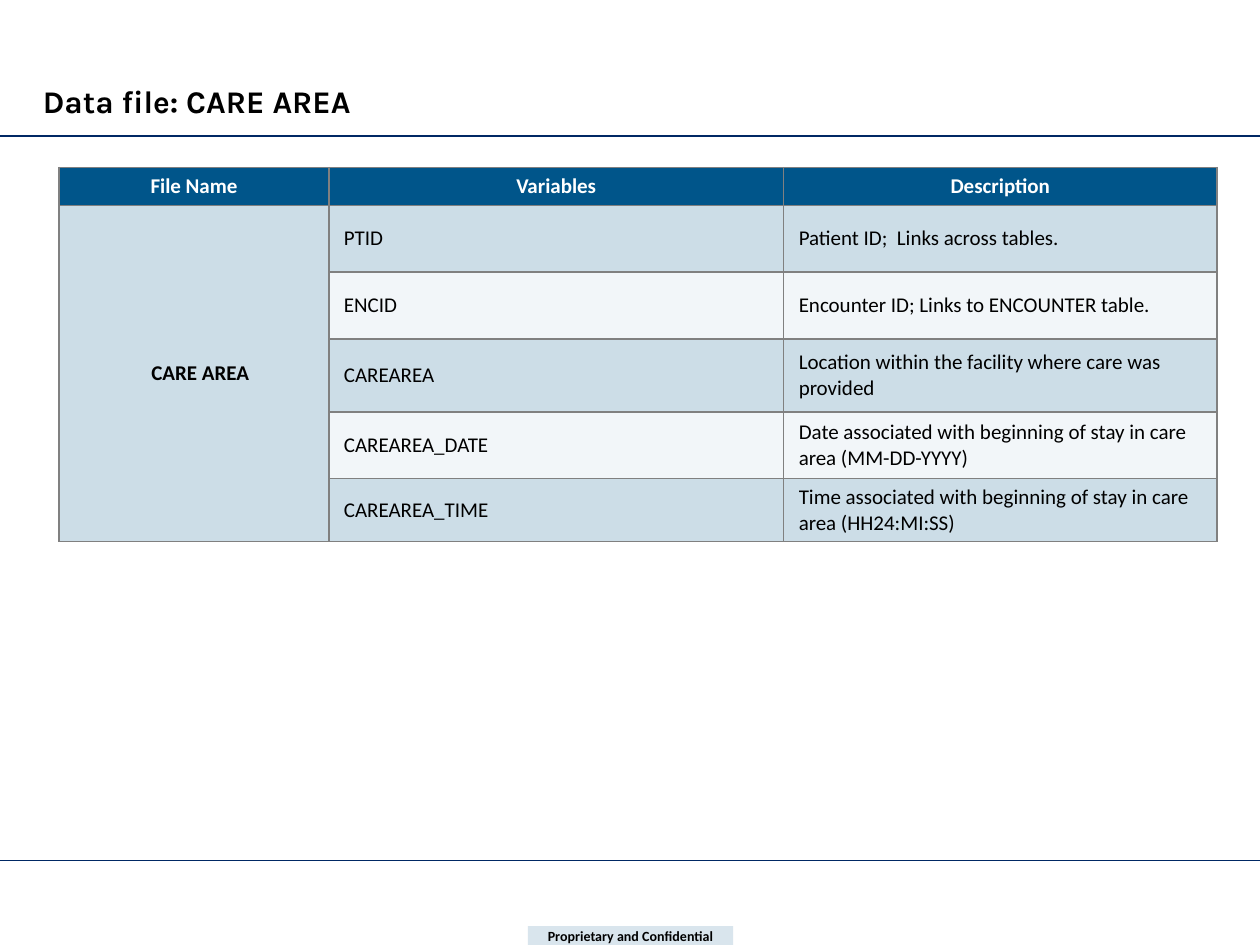
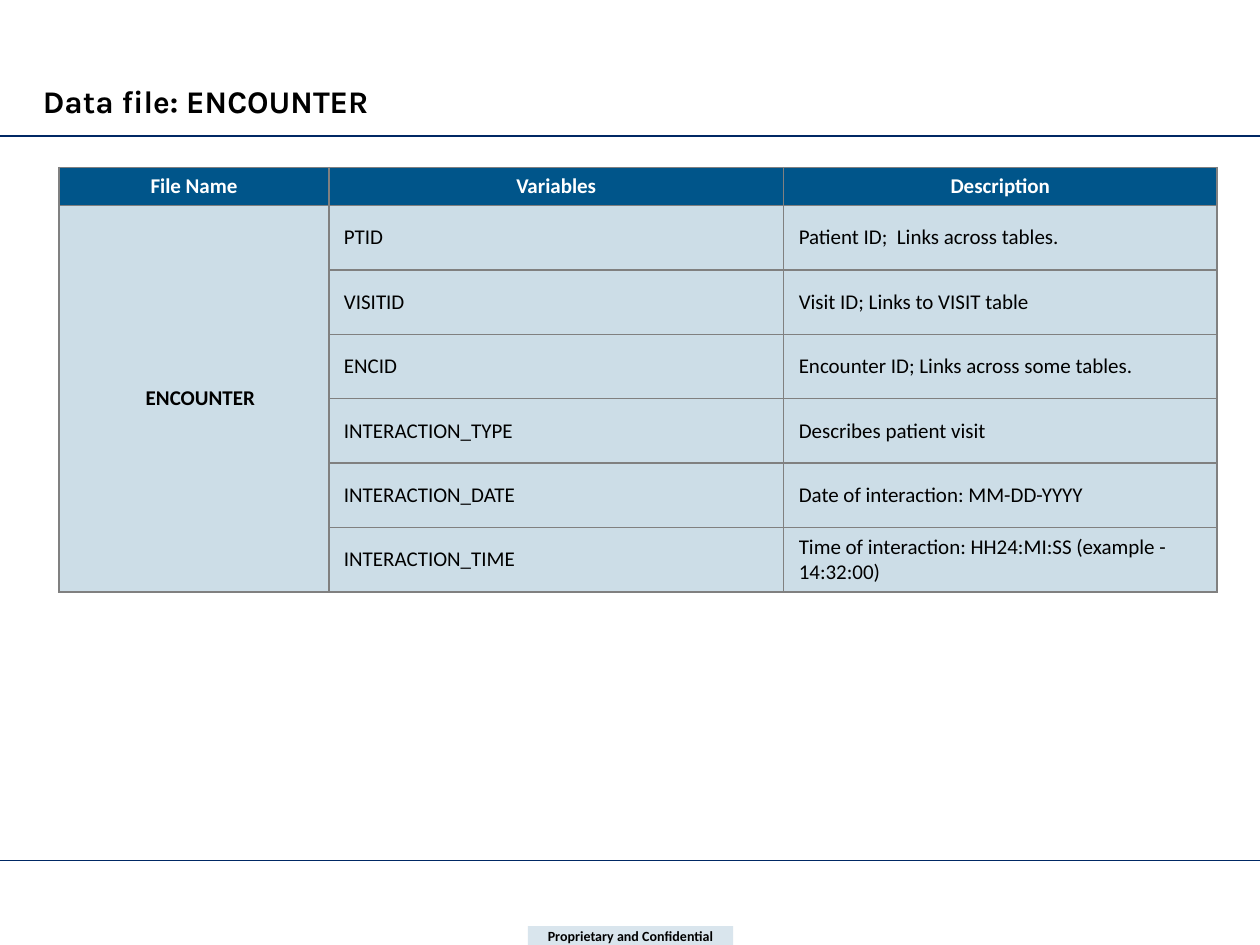
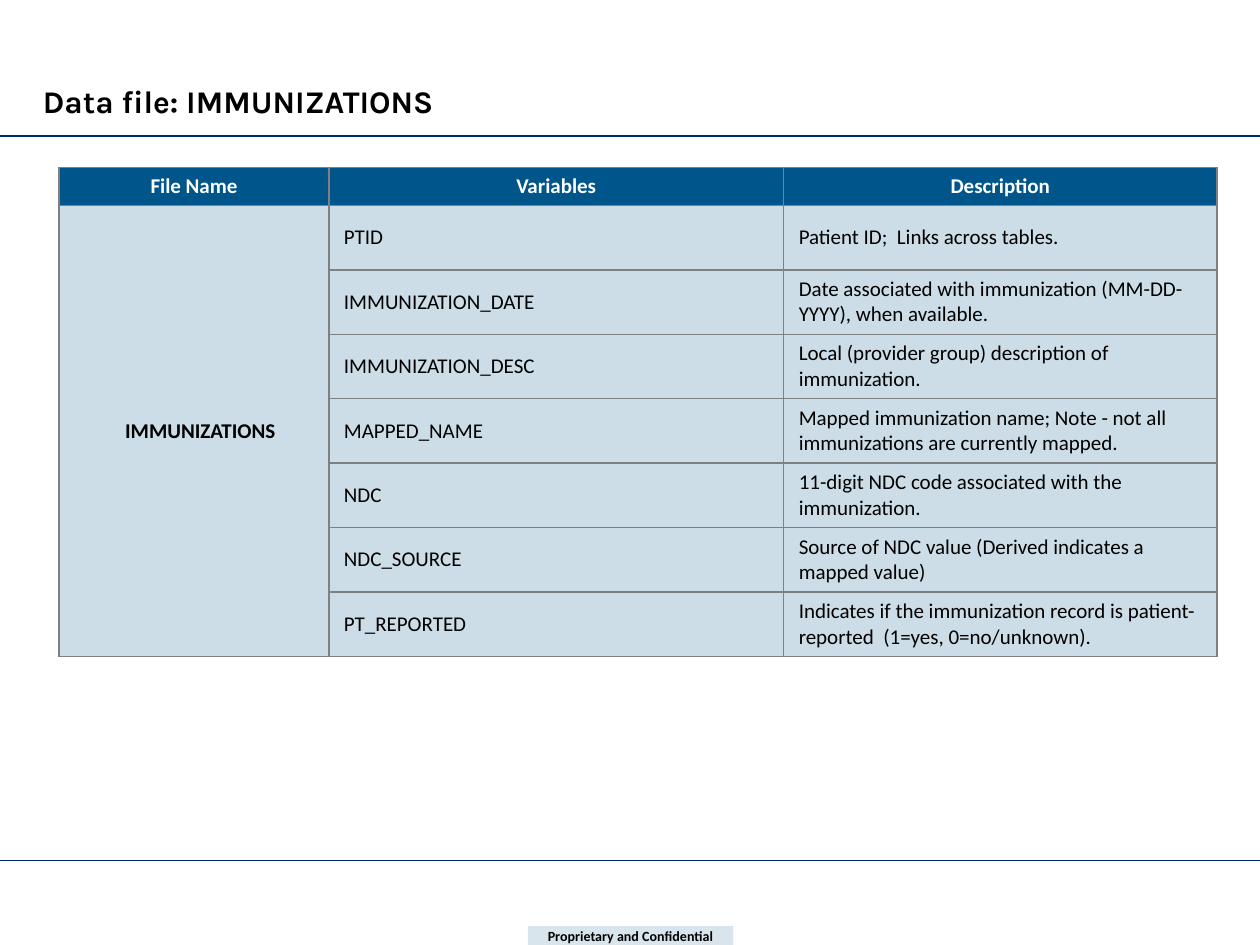
from lxml.etree import SubElement
from pptx import Presentation
from pptx.dml.color import RGBColor
from pptx.enum.shapes import MSO_CONNECTOR as Connector, MSO_SHAPE as Shape
from pptx.enum.text import MSO_ANCHOR as Anchor, MSO_AUTO_SIZE as AutoSize, PP_ALIGN as Align
from pptx.oxml import parse_xml
from pptx.oxml.ns import nsdecls, qn
from pptx.util import Emu, Pt

PX = 9144  # 100 px to the inch
WIDTH, HEIGHT = 1000, 750
TITLE_ONLY = 5

NAVY, BLUE, GRAY = "002864", "00558A", "808080"
BLACK, WHITE = "000000", "FFFFFF"
TITLE_FONT, BODY_FONT = "Karla", "Calibri"

HEADINGS = ("File Name", "Variables", "Description")
COLUMNS = (214, 361, 344)
HEADER_HEIGHT = 30
DARK, LIGHT = 20, 5  # opacity of the row tints, in percent


def px(length):
    return Emu(round(length * PX))


def color(hex_code):
    return RGBColor.from_string(hex_code)


def fill_solid(fill, hex_code, opacity=100):
    fill.solid()
    fill.fore_color.rgb = color(hex_code)
    if opacity < 100:
        tint = fill._xPr.find(qn("a:solidFill"))[0]
        SubElement(tint, qn("a:alpha"), val=str(opacity * 1000))


class Deck:
    """Holds the shared style and the slide being built."""

    def __init__(self):
        self.show = Presentation()
        self.show.slide_width, self.show.slide_height = px(WIDTH), px(HEIGHT)
        self.slide = None

    def add_slide(self, title):
        self.slide = self.show.slides.add_slide(self.show.slide_layouts[TITLE_ONLY])
        self.rule(683)
        self.rule(108)
        self.footer("Proprietary and Confidential")
        self.title(title)

    def set_text(self, frame, text, size, font=BODY_FONT, ink=BLACK, bold=True, align=Align.LEFT):
        frame.text = text
        paragraph = frame.paragraphs[0]
        paragraph.alignment = align
        paragraph.font.name, paragraph.font.size = font, Pt(size)
        paragraph.font.bold = bold
        paragraph.font.color.rgb = color(ink)

    def title(self, text):
        heading = self.slide.shapes.title
        heading.left, heading.top, heading.width, heading.height = map(px, (24, 60, 950, 40))
        frame = heading.text_frame
        frame.auto_size = AutoSize.NONE
        frame.vertical_anchor = Anchor.BOTTOM
        self.set_text(frame, text, 18, font=TITLE_FONT)

    def rule(self, y):
        line = self.slide.shapes.add_connector(Connector.STRAIGHT, 0, px(y), px(WIDTH), px(y))
        line.line.color.rgb = color(NAVY)
        line.line.width = Pt(0.75)
        SubElement(line._element.spPr, qn("a:effectLst"))

    def footer(self, text):
        label = self.slide.shapes.add_shape(Shape.RECTANGLE, *map(px, (419, 735, 163, 15)))
        label.shadow.inherit = False
        label.line.fill.background()
        fill_solid(label.fill, BLUE, 15)
        frame = label.text_frame
        frame.margin_left = frame.margin_right = frame.margin_top = frame.margin_bottom = px(1)
        self.set_text(frame, text, 8, align=Align.CENTER)

    def cell(self, cell, text, inset=0, opacity=100, **style):
        cell.margin_left = px(inset)
        cell.margin_right = cell.margin_top = cell.margin_bottom = 0
        cell.vertical_anchor = Anchor.MIDDLE
        fill_solid(cell.fill, BLUE, opacity)
        if text:
            self.set_text(cell.text_frame, text, 12, **style)
        for position, side in enumerate("LRTB"):
            border = parse_xml(
                f'<a:ln{side} {nsdecls("a")} w="{Pt(1)}"><a:solidFill>'
                f'<a:srgbClr val="{GRAY}"/></a:solidFill></a:ln{side}>')
            cell._tc.tcPr.insert(position, border)

    def variables_table(self, file_name, variables, heights, tints):
        count = len(variables)
        table = self.slide.shapes.add_table(
            count + 1, len(COLUMNS), px(47), px(133),
            px(sum(COLUMNS)), px(HEADER_HEIGHT + sum(heights))).table
        for column, width in zip(table.columns, COLUMNS):
            column.width = px(width)
        for row, height in zip(table.rows, [HEADER_HEIGHT, *heights]):
            row.height = px(height)

        # Header row
        for column, heading in enumerate(HEADINGS):
            self.cell(table.cell(0, column), heading, ink=WHITE, align=Align.CENTER)

        # File name beside its variables
        table.cell(1, 0).merge(table.cell(count, 0))
        for row, (variable, description) in enumerate(variables, start=1):
            tint = tints[(row - 1) % len(tints)]
            self.cell(table.cell(row, 0), file_name if row == 1 else "", 10, DARK,
                      align=Align.CENTER)
            self.cell(table.cell(row, 1), variable, 12, tint, bold=False)
            self.cell(table.cell(row, 2), description, 12, tint, bold=False)


PATIENT = ("PTID", "Patient ID;  Links across tables.")

CARE_AREA = [
    PATIENT,
    ("ENCID", "Encounter ID; Links to ENCOUNTER table."),
    ("CAREAREA", "Location within the facility where care was provided"),
    ("CAREAREA_DATE", "Date associated with beginning of stay in care area (MM-DD-YYYY)"),
    ("CAREAREA_TIME", "Time associated with beginning of stay in care area (HH24:MI:SS)"),
]
ENCOUNTER = [
    PATIENT,
    ("VISITID", "Visit ID; Links to VISIT table"),
    ("ENCID", "Encounter ID; Links across some tables."),
    ("INTERACTION_TYPE", "Describes patient visit"),
    ("INTERACTION_DATE", "Date of interaction: MM-DD-YYYY"),
    ("INTERACTION_TIME", "Time of interaction: HH24:MI:SS (example - 14:32:00)"),
]
IMMUNIZATIONS = [
    PATIENT,
    ("IMMUNIZATION_DATE", "Date associated with immunization (MM-DD-YYYY), when available."),
    ("IMMUNIZATION_DESC", "Local (provider group) description of immunization."),
    ("MAPPED_NAME", "Mapped immunization name; Note - not all immunizations are currently mapped."),
    ("NDC", "11-digit NDC code associated with the immunization."),
    ("NDC_SOURCE", "Source of NDC value (Derived indicates a mapped value)"),
    ("PT_REPORTED",
     "Indicates if the immunization record is patient-reported  (1=yes, 0=no/unknown)."),
]

# File name, variables, row heights, row tints
DATA_FILES = [
    ("CARE AREA", CARE_AREA, [53, 53, 58, 53, 50], (DARK, LIGHT)),
    ("ENCOUNTER", ENCOUNTER, [307 / 6] * 6, (DARK,)),
    ("IMMUNIZATIONS", IMMUNIZATIONS, [358 / 7] * 7, (DARK,)),
]


def main():
    deck = Deck()
    for file_name, variables, heights, tints in DATA_FILES:
        deck.add_slide(f"Data file: {file_name}")
        deck.variables_table(file_name, variables, heights, tints)
    deck.show.save("out.pptx")


if __name__ == "__main__":
    main()
